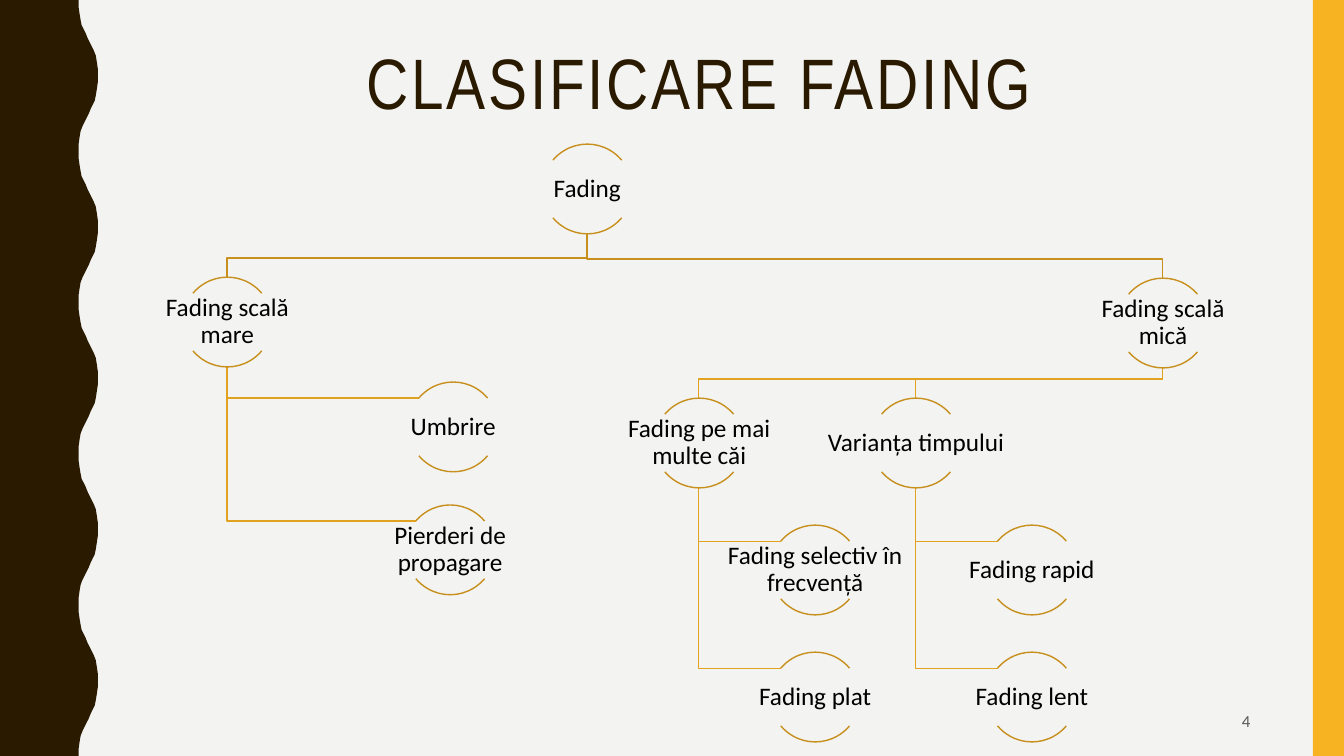
from pptx import Presentation
from pptx.dml.color import RGBColor
from pptx.enum.shapes import MSO_SHAPE
from pptx.enum.text import MSO_ANCHOR, PP_ALIGN
from pptx.util import Pt

ARC, RECT = MSO_SHAPE.ARC, MSO_SHAPE.RECTANGLE
TOP, MIDDLE = MSO_ANCHOR.TOP, MSO_ANCHOR.MIDDLE
CENTER, RIGHT = PP_ALIGN.CENTER, PP_ALIGN.RIGHT

TITLE = "CLASIFICARE FADING"
NUMBER = "4"
NODES = [
    ("Fading", 538, 143, None, None),
    ("Fading scală mare", 181, 275, "Fading", "top"),
    ("Pierderi de propagare", 402, 501, "Fading scală mare", "side"),
    ("Umbrire", 405, 379, "Fading scală mare", "side"),
    ("Fading scală mică", 1109, 276, "Fading", "top"),
    ("Fading pe mai multe căi", 649, 395, "Fading scală mică", "top"),
    ("Fading selectiv în frecvență", 764, 521, "Fading pe mai multe căi", "side"),
    ("Fading plat", 764, 647, "Fading pe mai multe căi", "side"),
    ("Varianța timpului", 864, 395, "Fading scală mică", "top"),
    ("Fading rapid", 979, 521, "Varianța timpului", "side"),
    ("Fading lent", 979, 647, "Varianța timpului", "side"),
]
COLORS = {"bg": "F3F3F2", "dark": "2A1A00", "band": "F8B323", "arc": "C78F1C",
          "link": "E1A220", "text": "000000", "number": "595959"}
HALF_WAVE = [(78, 0), (78, 7), (79, 14), (80, 20), (81, 25), (83, 29), (85, 33),
             (87, 38), (89, 42), (91, 46), (93, 50), (95, 55), (96, 61), (97, 68)]
ARCS = [(132, 192), (24, 84)]

EMU_PER_PX = 9144
WIDTH, HEIGHT = 1333, 750
HALF_PERIOD = 75
CIRCLE = 89
LABEL_W, LABEL_H = 177, 57
LABEL_DY = (CIRCLE - LABEL_H) // 2
SIDE_DX = 11
BUS_GAP = 19


def px(*values):
    return [v * EMU_PER_PX for v in values]


def rgb(name):
    return RGBColor.from_string(COLORS[name])


def fill(sp, color):
    sp.shadow.inherit = False
    sp.fill.solid()
    sp.fill.fore_color.rgb = rgb(color)
    sp.line.fill.background()


def outline(sp, color):
    sp.shadow.inherit = False
    sp.fill.background()
    sp.line.color.rgb = rgb(color)
    sp.line.width = Pt(1)


def freeform(points, close):
    builder = slide.shapes.build_freeform(*points[0], scale=EMU_PER_PX)
    builder.add_line_segments(points[1:], close=close)
    return builder.convert_to_shape()


def write(sp, text, size, font, color, align, anchor, inset=None):
    tf = sp.text_frame
    tf.word_wrap = True
    tf.vertical_anchor = anchor
    if inset is not None:
        tf.margin_left = tf.margin_right = tf.margin_top = tf.margin_bottom = inset
    tf.text = text
    p = tf.paragraphs[0]
    p.alignment = align
    p.line_spacing = 0.9
    r = p.runs[0]
    r.font.size = Pt(size)
    r.font.name = font
    r.font.color.rgb = rgb(color)
    return r


def link_points(x, y, parent, kind):
    px0, py0 = places[parent]
    start_x, start_y = px0 + CIRCLE // 2, py0 + CIRCLE
    if kind == "side":
        end_y = y + LABEL_DY
        return [(start_x, start_y), (start_x, end_y), (x + SIDE_DX, end_y)]
    end_x, bus = x + CIRCLE // 2, y - BUS_GAP
    return [(start_x, start_y), (start_x, bus), (end_x, bus), (end_x, y)]


prs = Presentation()
prs.slide_width, prs.slide_height = px(WIDTH, HEIGHT)
slide = prs.slides.add_slide(prs.slide_layouts[5])
slide.background.fill.solid()
slide.background.fill.fore_color.rgb = rgb("bg")

edge = []
for i in range(HEIGHT // HALF_PERIOD):
    for x, y in HALF_WAVE:
        wave_x = x if i % 2 == 0 else 175 - x
        edge.append((wave_x, i * HALF_PERIOD + y))
fill(freeform([(0, 0)] + edge + [(78, HEIGHT), (0, HEIGHT)], True), "dark")
fill(slide.shapes.add_shape(RECT, *px(1302, 0, 31, HEIGHT)), "band")

title = slide.shapes.title
title.left, title.top, title.width, title.height = px(137, 42, 1113, 163)
r = write(title, TITLE, 51, "Arial Narrow", "dark", CENTER, TOP)
r.font._element.set("spc", "200")

places = {text: (x, y) for text, x, y, parent, kind in NODES}
for text, x, y, parent, kind in reversed(NODES):
    if parent:
        color = "arc" if parent == NODES[0][0] else "link"
        outline(freeform(link_points(x, y, parent, kind), False), color)

for text, x, y, parent, kind in NODES:
    for start, end in ARCS:
        arc = slide.shapes.add_shape(ARC, *px(x, y, CIRCLE, CIRCLE))
        arc.adjustments[0], arc.adjustments[1] = start, end
        outline(arc, "arc")
    label_x = x + (CIRCLE - LABEL_W) // 2
    label = slide.shapes.add_textbox(*px(label_x, y + LABEL_DY, LABEL_W, LABEL_H))
    write(label, text, 18, "Calibri", "text", CENTER, MIDDLE, px(1)[0])

number = slide.shapes.add_textbox(*px(942, 697, 308, 38))
write(number, NUMBER, 12, "Calibri", "number", RIGHT, MIDDLE)

prs.save("out.pptx")
